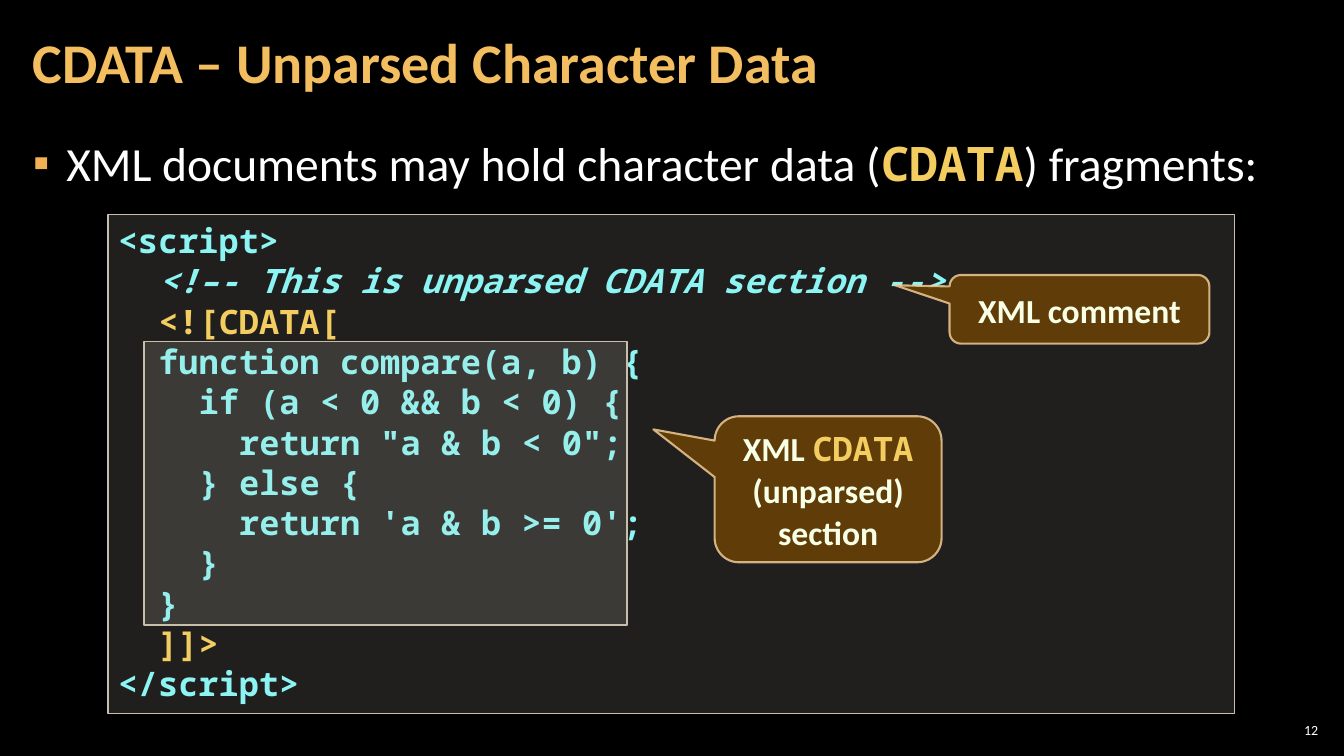
from dataclasses import dataclass

from lxml.etree import SubElement
from pptx import Presentation
from pptx.dml.color import RGBColor
from pptx.enum.shapes import MSO_SHAPE
from pptx.enum.text import MSO_ANCHOR, MSO_AUTO_SIZE, PP_ALIGN
from pptx.oxml.ns import qn
from pptx.util import Cm, Pt

COLORS = {
    "background": "000000",
    "white": "FFFFFF",
    "title": "F3BE60",
    "bullet": "F2B254",
    "keyword": "F3CD60",
    "code": "8CF4F2",
    "panel": "D9D5C7",
    "panel_line": "C7BFAC",
    "callout": "643F07",
    "callout_line": "F8D49E",
    "callout_text": "F7FFE7",
}
SANS = "Calibri"
MONO = "Noto Sans Mono"
CODE_INDENT = 1.02  # width of two code characters, in cm


@dataclass(frozen=True)
class Area:
    left: float
    top: float
    width: float
    height: float

    def lengths(self) -> tuple:
        return Cm(self.left), Cm(self.top), Cm(self.width), Cm(self.height)


@dataclass(frozen=True)
class Span:
    text: str
    color: str
    size: int = 24
    font: str = SANS
    bold: bool = True
    italic: bool = False


@dataclass(frozen=True)
class CodeLine:
    level: int
    text: str
    color: str = "code"
    italic: bool = False


@dataclass(frozen=True)
class Callout:
    area: Area
    tail: tuple[float, float]
    spans: tuple[Span, ...]


CODE = (
    CodeLine(0, "<script>"),
    CodeLine(1, "<!–- This is unparsed CDATA section -->", italic=True),
    CodeLine(1, "<![CDATA[", "keyword"),
    CodeLine(1, "function compare(a, b) {"),
    CodeLine(2, "if (a < 0 && b < 0) {"),
    CodeLine(3, 'return "a & b < 0";'),
    CodeLine(2, "} else {"),
    CodeLine(3, "return 'a & b >= 0';"),
    CodeLine(2, "}"),
    CodeLine(1, "}"),
    CodeLine(1, "]]>", "keyword"),
    CodeLine(0, "</script>"),
)

CALLOUTS = (
    Callout(Area(23.93, 6.93, 6.55, 1.73), (-0.71, -0.35),
            (Span("XML comment", "callout_text"),)),
    Callout(Area(18.01, 10.49, 5.72, 3.68), (-0.77, -0.41),
            (Span("XML ", "callout_text"),
             Span("CDATA", "keyword", font=MONO),
             Span(" (unparsed) section", "callout_text"))),
)


def rgb(name: str) -> RGBColor:
    return RGBColor.from_string(COLORS[name])


def set_opacity(fill, percent: int) -> None:
    color = fill._xPr.find(qn("a:solidFill")).find(qn("a:srgbClr"))
    SubElement(color, qn("a:alpha"), val=str(percent * 1000))


def format_font(font, span: Span) -> None:
    font.name = span.font
    font.size = Pt(span.size)
    font.bold = span.bold
    font.italic = span.italic
    font.color.rgb = rgb(span.color)


def write(para, *spans: Span) -> None:
    """Add the spans; a lone span also sets the paragraph font."""
    if len(spans) == 1:
        format_font(para.font, spans[0])
    for span in spans:
        run = para.add_run()
        run.text = span.text
        format_font(run.font, span)


def set_frame(frame, anchor, side: float = 0.25, edge: float = 0.13) -> None:
    frame.word_wrap = True
    frame.auto_size = MSO_AUTO_SIZE.NONE
    frame.vertical_anchor = anchor
    frame.margin_left = frame.margin_right = Cm(side)
    frame.margin_top = frame.margin_bottom = Cm(edge)


def place(box, area: Area) -> None:
    box.left, box.top, box.width, box.height = area.lengths()


def set_indent(para, left: float, first: float = 0) -> None:
    properties = para._p.get_or_add_pPr()
    properties.set("marL", str(Cm(left)))
    properties.set("indent", str(Cm(first)))


def add_box(page, kind, area: Area, fill: str, opacity: int, line: str, weight: float):
    box = page.shapes.add_shape(kind, *area.lengths())
    box.shadow.inherit = False
    box.fill.solid()
    box.fill.fore_color.rgb = rgb(fill)
    set_opacity(box.fill, opacity)
    box.line.color.rgb = rgb(line)
    box.line.width = Pt(weight)
    return box


def add_panel(page, area: Area):
    return add_box(page, MSO_SHAPE.RECTANGLE, area, "panel", 15, "panel_line", 1)


def add_code(page, area: Area, lines: tuple[CodeLine, ...]) -> None:
    frame = add_panel(page, area).text_frame
    set_frame(frame, MSO_ANCHOR.TOP)
    for number, line in enumerate(lines):
        para = frame.add_paragraph() if number else frame.paragraphs[0]
        para.alignment = PP_ALIGN.LEFT
        set_indent(para, line.level * CODE_INDENT)
        write(para, Span(line.text, line.color, font=MONO, italic=line.italic))


def add_callout(page, callout: Callout) -> None:
    box = add_box(page, MSO_SHAPE.ROUNDED_RECTANGULAR_CALLOUT, callout.area,
                  "callout", 95, "callout_line", 1.5)
    set_opacity(box.line.fill, 80)
    box.adjustments[0], box.adjustments[1] = callout.tail
    set_frame(box.text_frame, MSO_ANCHOR.MIDDLE)
    para = box.text_frame.paragraphs[0]
    para.alignment = PP_ALIGN.CENTER
    para.line_spacing = Pt(30)
    write(para, *callout.spans)


def fill_title(title) -> None:
    place(title, Area(0.53, 0.1, 26.59, 3.07))
    set_frame(title.text_frame, MSO_ANCHOR.MIDDLE, 0.3, 0.1)
    para = title.text_frame.paragraphs[0]
    para.alignment = PP_ALIGN.LEFT
    para.line_spacing = 0.9
    write(para, Span("CDATA – Unparsed Character Data", "title", 40))


def fill_body(body) -> None:
    place(body, Area(0.53, 3.2, 32.79, 15.47))
    set_frame(body.text_frame, MSO_ANCHOR.TOP, 0.3, 0.1)
    para = body.text_frame.paragraphs[0]
    para.line_spacing = 1.05
    para.space_before = para.space_after = Pt(6)
    set_indent(para, 0.84, -0.84)
    properties = para._p.get_or_add_pPr()
    bullet_color = SubElement(properties, qn("a:buClr"))
    SubElement(bullet_color, qn("a:srgbClr"), val=COLORS["bullet"])
    SubElement(properties, qn("a:buChar"), char="▪")
    write(para,
          Span("XML documents may hold character data (", "white", 34, bold=False),
          Span("CDATA", "keyword", 34, MONO),
          Span(") fragments:", "white", 34, bold=False))


def add_page_number(page, number: int) -> None:
    box = page.shapes.add_textbox(*Area(32.13, 18.14, 1.19, 0.53).lengths())
    set_frame(box.text_frame, MSO_ANCHOR.MIDDLE, 0.1, 0.1)
    para = box.text_frame.paragraphs[0]
    para.alignment = PP_ALIGN.RIGHT
    write(para, Span(str(number), "white", 10, bold=False))


def main() -> None:
    deck = Presentation()
    deck.slide_width, deck.slide_height = Cm(33.87), Cm(19.05)
    page = deck.slides.add_slide(deck.slide_layouts[1])
    page.background.fill.solid()
    page.background.fill.fore_color.rgb = rgb("background")
    fill_title(page.shapes.title)
    fill_body(page.placeholders[1])
    add_page_number(page, 12)
    add_code(page, Area(2.72, 5.41, 28.4, 12.57), CODE)
    for callout in CALLOUTS:
        add_callout(page, callout)
    add_panel(page, Area(3.63, 8.61, 12.17, 7.14))
    deck.save("out.pptx")


if __name__ == "__main__":
    main()
